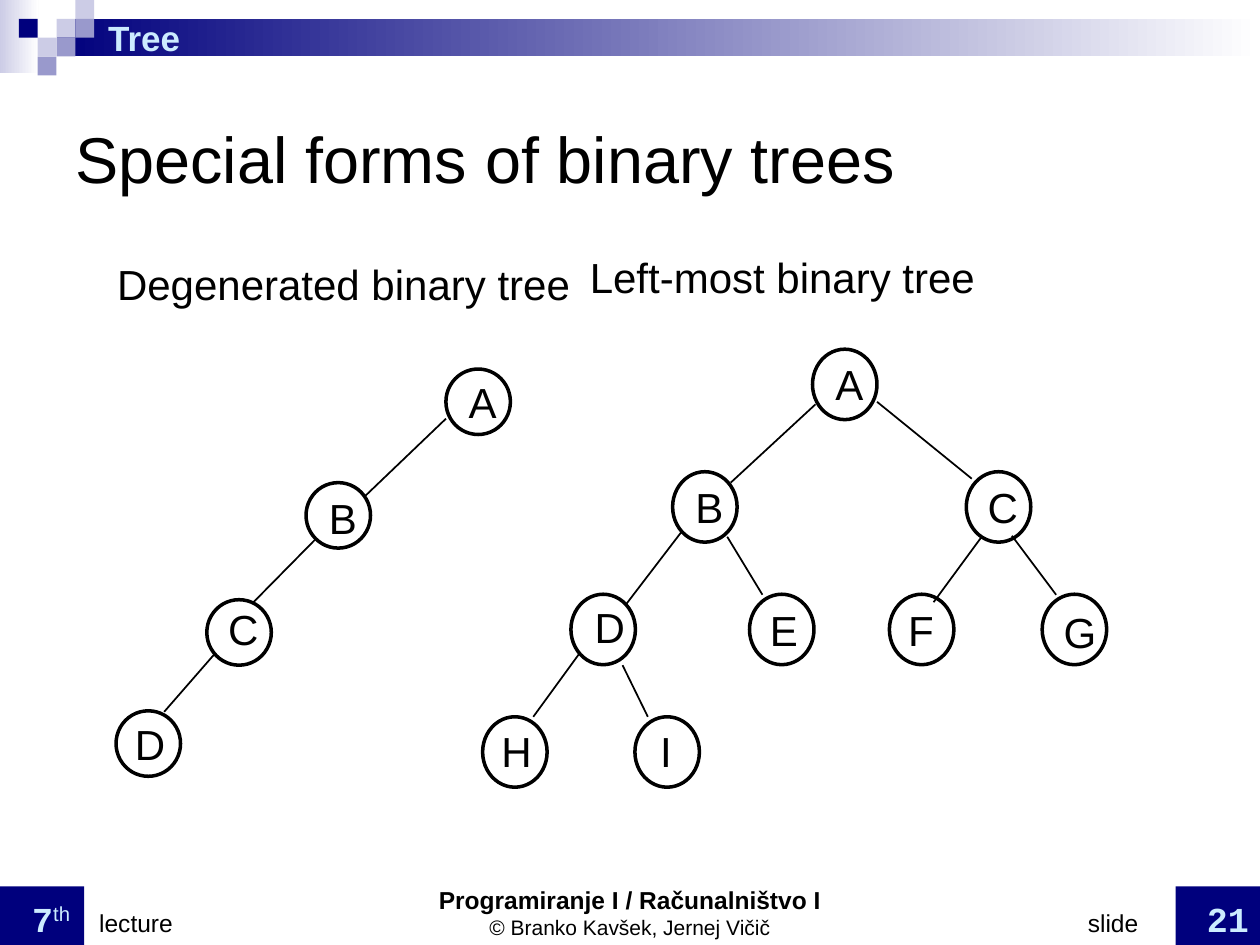
import pptx
import pptx.util
import pptx.dml.color
import pptx.enum.shapes
import pptx.enum.text
from lxml import etree

Cm, Pt = pptx.util.Cm, pptx.util.Pt
SHAPE = pptx.enum.shapes.MSO_SHAPE
ALIGN = pptx.enum.text.PP_ALIGN
ANCHOR = pptx.enum.text.MSO_ANCHOR
A_NS = "http://schemas.openxmlformats.org/drawingml/2006/main"

COLORS = {"navy": "00007D", "violet": "9999CC", "lilac": "CCCCE6",
          "ice": "CCECFF", "black": "000000", "white": "FFFFFF"}
SLIDE_W, SLIDE_H = 25.4, 19.05
NODE_W = 1.3


def rgb(name):
    return pptx.dml.color.RGBColor.from_string(COLORS[name])


def add_block(s, kind, x, y, w, h, fill, line=None, fade_to=None):
    sp = s.shapes.add_shape(kind, Cm(x), Cm(y), Cm(w), Cm(h))
    sp.shadow.inherit = False
    if fade_to:
        sp.fill.gradient()
        sp.fill.gradient_angle = 0
        for stop, color in zip(sp.fill.gradient_stops, (fill, fade_to)):
            stop.color.rgb = rgb(color)
    else:
        sp.fill.solid()
        sp.fill.fore_color.rgb = rgb(fill)
    if line:
        sp.line.color.rgb = rgb(line)
        sp.line.width = Pt(2)
    else:
        sp.line.fill.background()


def add_text(s, x, y, w, h, margins=(0, 0, 0, 0), anchor=ANCHOR.TOP, wrap=True):
    tf = s.shapes.add_textbox(Cm(x), Cm(y), Cm(w), Cm(h)).text_frame
    tf.word_wrap = wrap
    tf.vertical_anchor = anchor
    (tf.margin_left, tf.margin_top,
     tf.margin_right, tf.margin_bottom) = [Cm(m) for m in margins]
    return tf


def add_run(p, text, size, color="black", font="Arial", bold=False):
    r = p.add_run()
    r.text = text
    r.font.size = Pt(size)
    r.font.name = font
    r.font.bold = bold
    r.font.color.rgb = rgb(color)
    return r


def add_tab(p, pos):
    tabs = etree.SubElement(p._p.get_or_add_pPr(), f"{{{A_NS}}}tabLst")
    etree.SubElement(tabs, f"{{{A_NS}}}tab", pos=str(Cm(pos)), algn="l")


def add_edge(s, x1, y1, x2, y2):
    line = s.shapes.add_connector(pptx.enum.shapes.MSO_CONNECTOR.STRAIGHT,
                                  Cm(x1), Cm(y1), Cm(x2), Cm(y2))
    line.line.color.rgb = rgb("black")
    line.line.width = Pt(1)
    etree.SubElement(line._element.spPr, f"{{{A_NS}}}effectLst")


def build_header(s, x, y, w):
    # Fading bars
    add_block(s, SHAPE.RECTANGLE, x, y, 0.78, 1.47, "lilac", fade_to="white")
    add_block(s, SHAPE.RECTANGLE, x + 1.14, y + 0.38, w - 1.14, 0.76,
              "navy", fade_to="white")
    # Mosaic squares as column, row, colour
    cell = 0.38
    for col, row, color in [(3, 1, "lilac"), (4, 0, "lilac"), (4, 1, "violet"),
                            (2, 2, "lilac"), (1, 1, "navy"), (3, 2, "violet"),
                            (2, 3, "violet")]:
        add_block(s, SHAPE.RECTANGLE, x + col * cell, y + row * cell,
                  cell, cell, color)
    # Section name
    tf = add_text(s, x + 1.5, y + 0.38, 17.4, 0.74, (0.68, 0.03, 0.25, 0.03),
                  ANCHOR.MIDDLE)
    add_run(tf.paragraphs[0], "Tree", 20, "ice", bold=True)


def build_title(s, x, y, w, h):
    title = s.shapes.title
    title.left, title.top, title.width, title.height = Cm(x), Cm(y), Cm(w), Cm(h)
    tf = title.text_frame
    tf.vertical_anchor = ANCHOR.MIDDLE
    p = tf.paragraphs[0]
    p.alignment = ALIGN.LEFT
    add_run(p, "Special forms of binary trees", 37)


def build_tree(s, x, y, caption, caption_x, caption_w, node_h, nodes, edges):
    """Nodes: label, x, y, label dx, label dy. Edges: x1, y1, x2, y2."""
    for _, nx, ny, _, _ in nodes:
        add_block(s, SHAPE.OVAL, x + nx, y + ny, NODE_W, node_h, "white", "black")
    for label, nx, ny, dx, dy in nodes:
        tf = add_text(s, x + nx + dx, y + ny + dy, 0.6, 1.02, wrap=False)
        add_run(tf.paragraphs[0], label, 24)
    for x1, y1, x2, y2 in edges:
        add_edge(s, x + x1, y + y1, x + x2, y + y2)
    tf = add_text(s, x + caption_x, y, caption_w, 1.02, wrap=False)
    add_run(tf.paragraphs[0], caption, 24)


def build_footer(s, x, y, w, h):
    box_w = 1.7
    for left in (x, x + w - box_w):
        add_block(s, SHAPE.RECTANGLE, left, y, box_w, h, "navy")
    margins = (0, 0.13, 0, 0.13)

    # Course and authors
    tf = add_text(s, x + 8.3, y - 0.07, 8.8, 1.27, margins, ANCHOR.BOTTOM)
    p = tf.paragraphs[0]
    p.alignment = ALIGN.CENTER
    add_run(p, "Programiranje I / Računalništvo I", 14, bold=True)
    p = tf.add_paragraph()
    p.alignment = ALIGN.CENTER
    add_run(p, "© Branko Kavšek, Jernej Vičič", 12)

    # Lecture number
    tf = add_text(s, x + 0.65, y - 0.1, 5.2, 1.3, margins, ANCHOR.BOTTOM)
    p = tf.paragraphs[0]
    add_tab(p, 1.35)
    add_run(p, "7", 20, "ice", "Courier New", True)
    r = add_run(p, "th", 20, "ice")
    r.font._element.set("baseline", "30000")
    add_run(p, "\tlecture", 14)

    # Slide number
    tf = add_text(s, x + w - 3.47, y - 0.1, 3.47, 1.3, margins, ANCHOR.BOTTOM)
    p = tf.paragraphs[0]
    add_tab(p, 2.4)
    add_run(p, "slide\t", 14)
    add_run(p, "21", 20, "ice", "Courier New", True)


def main():
    prs = pptx.Presentation()
    prs.slide_width, prs.slide_height = Cm(SLIDE_W), Cm(SLIDE_H)
    s = prs.slides.add_slide(prs.slide_layouts[5])

    build_header(s, 0, 0, SLIDE_W)
    build_footer(s, 0, 17.87, SLIDE_W, 1.18)
    build_title(s, 1.27, 1.27, 22.86, 3.81)

    rows = [1.96 + 2.47 * level for level in range(4)]
    build_tree(
        s, 9.73, 5.08, "Left-most binary tree", 2.16, 7.77, 1.42,
        [("A", 6.65, rows[0], 0.46, 0.18), ("B", 3.83, rows[1], 0.46, 0.2),
         ("C", 9.75, rows[1], 0.43, 0.2), ("D", 1.78, rows[2], 0.48, 0.15),
         ("E", 5.38, rows[2], 0.41, 0.2), ("F", 8.2, rows[2], 0.38, 0.2),
         ("G", 11.28, rows[2], 0.43, 0.25), ("H", 0, rows[3], 0.38, 0.18),
         ("I", 3.07, rows[3], 0.51, 0.18)],
        [(5, 4.65, 6.71, 3.07), (2.9, 7.09, 4.01, 5.64),
         (1.02, 9.37, 1.96, 8.08), (4.93, 5.74, 5.64, 6.91),
         (2.82, 8.33, 3.33, 9.37), (7.95, 3.02, 9.86, 4.57),
         (9.09, 7.06, 10.06, 5.74), (10.67, 5.72, 11.56, 6.91)])
    build_tree(
        s, 2.34, 5.21, "Degenerated binary tree", 0.02, 9.14, 1.32,
        [("A", 6.65, 2.23, 0.46, 0.15), ("B", 3.83, 4.52, 0.46, 0.2),
         ("C", 1.83, 6.88, 0.43, 0.08), ("D", 0, 9.12, 0.38, 0.15)],
        [(5.03, 4.78, 6.65, 3.23), (4.04, 5.64, 2.77, 6.93),
         (0.97, 9.14, 1.98, 7.98)])

    prs.save("out.pptx")


if __name__ == "__main__":
    main()
